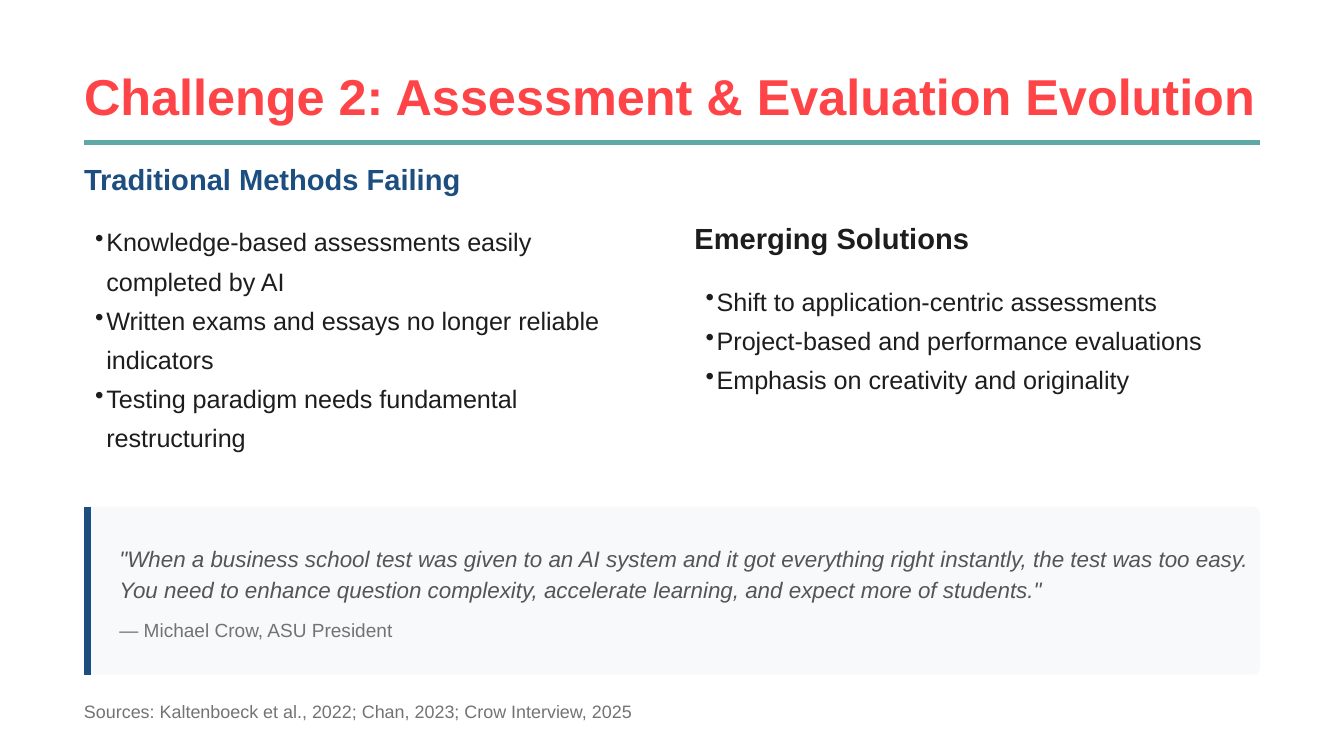
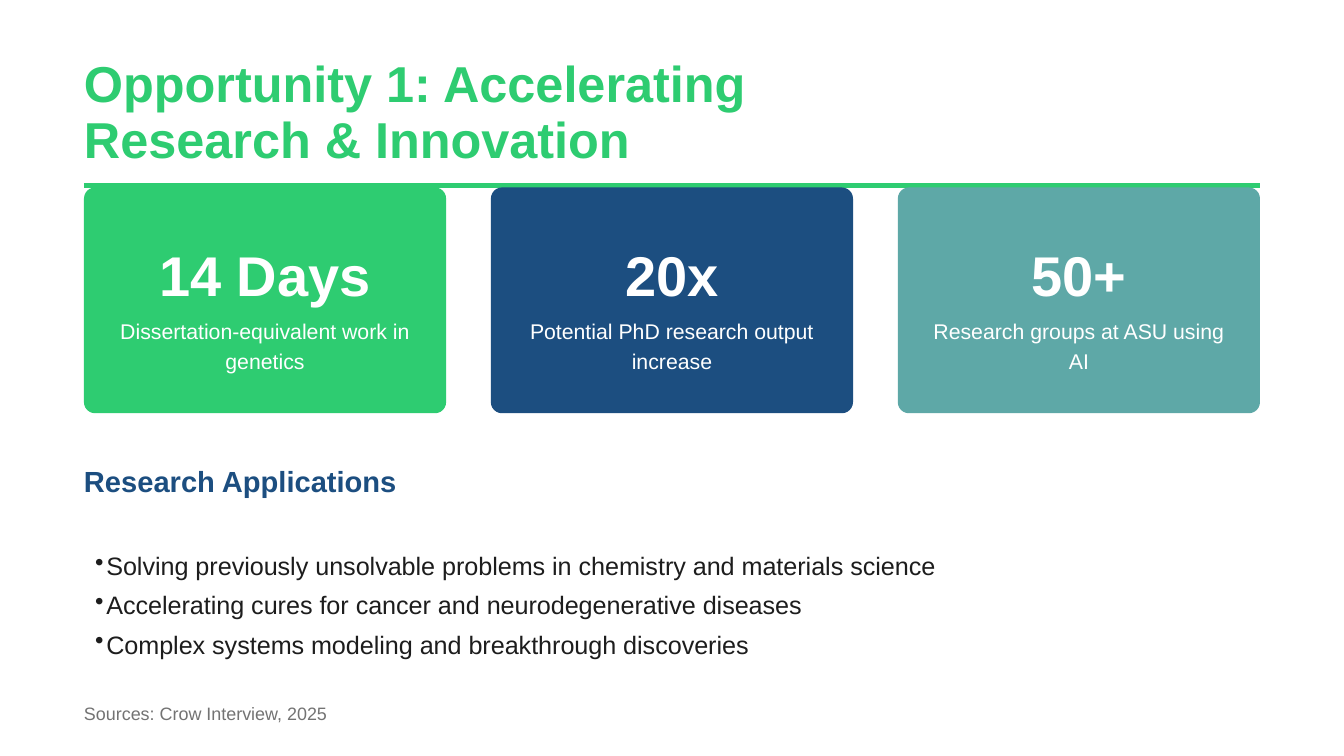
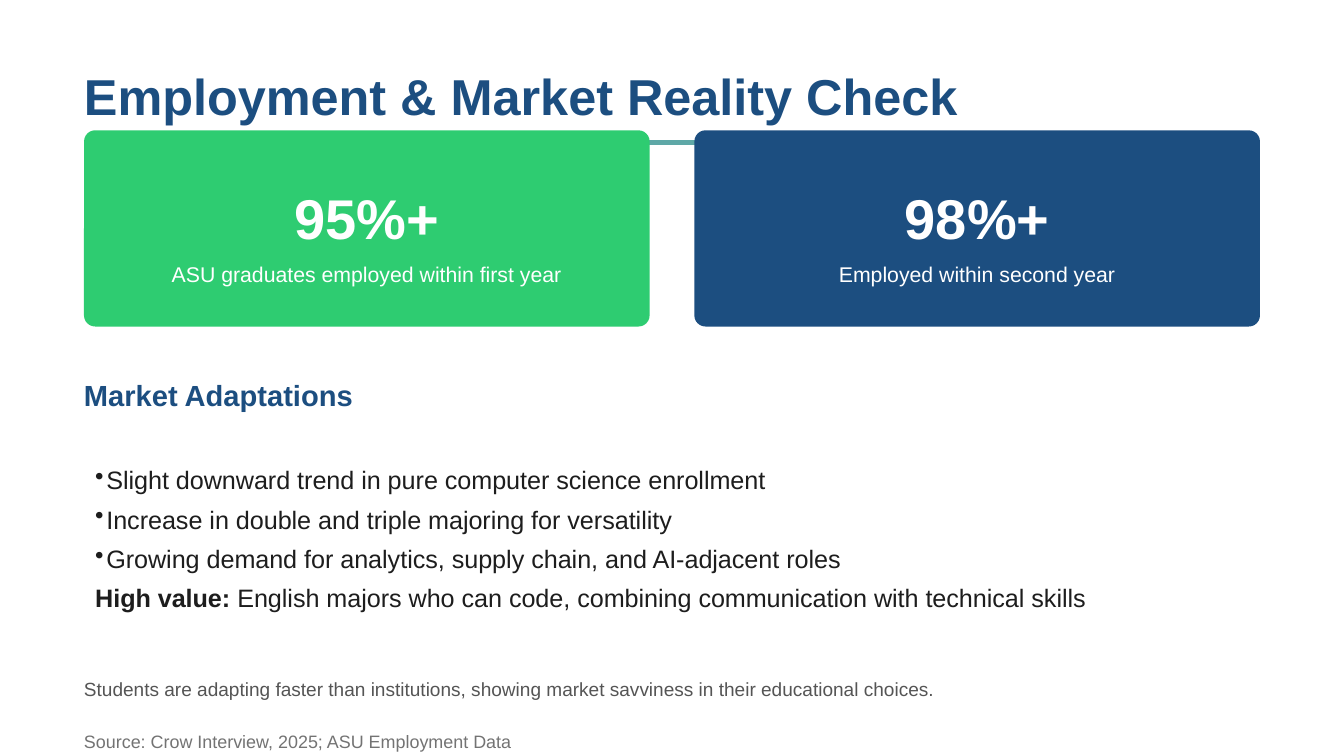
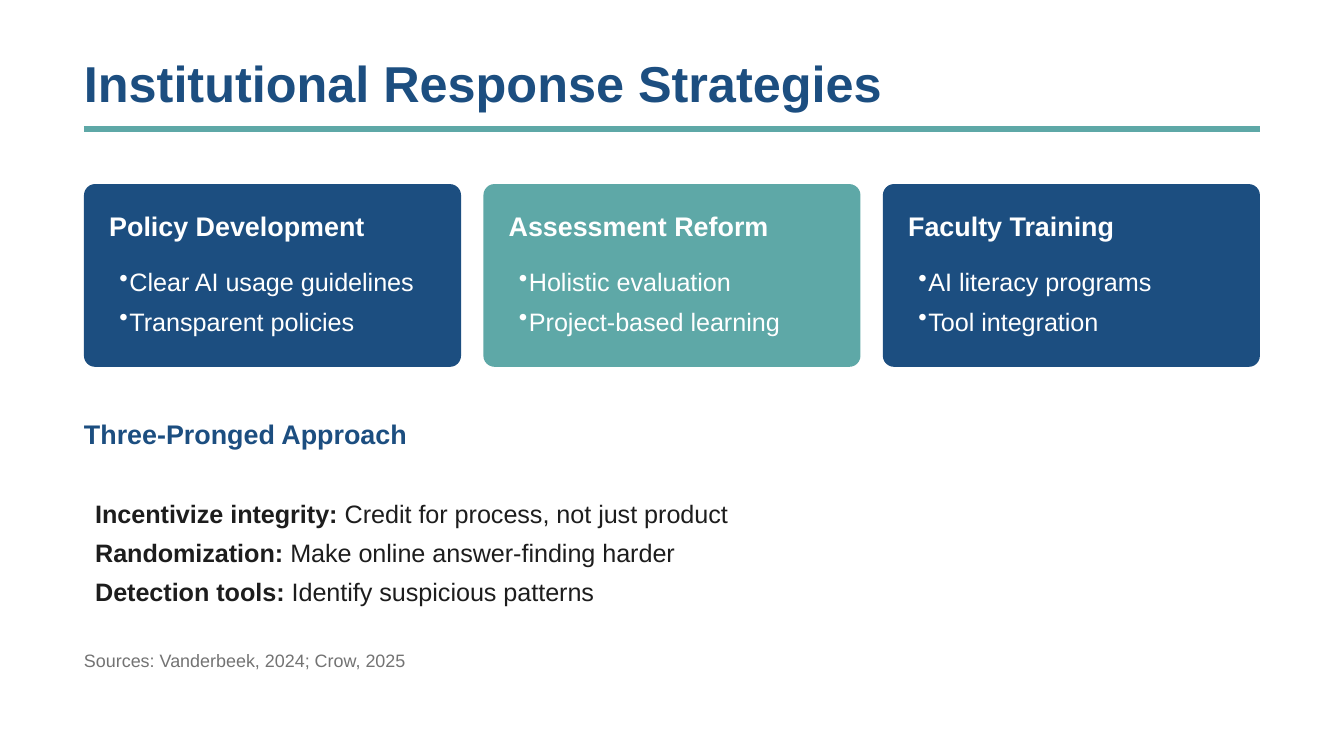
import dataclasses

import lxml.etree
import pptx
import pptx.dml.color
import pptx.enum.shapes
import pptx.enum.text
import pptx.oxml.ns
import pptx.util

RGB = pptx.dml.color.RGBColor
SHAPES = pptx.enum.shapes.MSO_SHAPE
CENTER = pptx.enum.text.PP_ALIGN.CENTER

# Palette
RED = RGB(0xFE, 0x44, 0x47)
TEAL = RGB(0x5E, 0xA8, 0xA7)
NAVY = RGB(0x1C, 0x4E, 0x80)
GREEN = RGB(0x2E, 0xCC, 0x71)
INK = RGB(0x1D, 0x1D, 0x1D)
GREY = RGB(0x55, 0x55, 0x55)
MUTED = RGB(0x73, 0x73, 0x73)
PALE = RGB(0xF8, 0xF9, 0xFA)
WHITE = RGB(0xFF, 0xFF, 0xFF)

# Grid: the slide is 100 columns wide, with square cells
WIDTH = pptx.util.Inches(10)
HEIGHT = WIDTH * 9 // 16
CELL = WIDTH / 100
MARGIN = 6.25
CONTENT = 100 - 2 * MARGIN
WIDE = 1.02  # headings run slightly past their column
CARD_RADIUS = 0.83


def text_style(size, color, line, after=0, align=None, **font):
    """Format values for the runs and paragraphs of one kind of text."""
    return {
        "color": color,
        "font": {"name": "Arial", "size": pptx.util.Pt(size), **font},
        "paragraph": {
            "line_spacing": pptx.util.Pt(line),
            "space_after": pptx.util.Pt(after),
            "alignment": align,
        },
    }


def heading_style(color):
    return text_style(15.6, color, 18.7, 11.2, bold=True)


def small_heading_style(color):
    return text_style(14.4, color, 17.3, 9, bold=True)


def list_style(color):
    return text_style(13.5, color, 21)


FIGURE = text_style(30, WHITE, 42, 3.8, CENTER, bold=True)
CAPTION = text_style(11.4, WHITE, 16, 3, CENTER)
QUOTE = text_style(12, GREY, 16.8, 3, italic=True)
SPEAKER = text_style(10.2, MUTED, 14.3, 3)
REMARK = text_style(10.2, GREY, 14.3, 3)
SOURCE = text_style(9.6, MUTED, 13.4, 3)


@dataclasses.dataclass
class Box:
    """A region measured in grid cells."""
    x: float
    y: float
    w: float
    h: float

    def emu(self):
        return [round(v * CELL) for v in (self.x, self.y, self.w, self.h)]

    def inside(self, dx, dy, w, h):
        return Box(self.x + dx, self.y + dy, w, h)

    def columns(self, count, gap):
        w = (self.w - gap * (count - 1)) / count
        return [self.inside(i * (w + gap), 0, w, self.h) for i in range(count)]


def band(y, h):
    return Box(MARGIN, y, CONTENT, h)


def set_all(target, values):
    for name, value in values.items():
        setattr(target, name, value)


# Basic parts
def add_bullet(paragraph, indent, mark):
    props = paragraph._p.get_or_add_pPr()
    hang = round(indent * CELL)
    props.set("marL", str(hang))
    props.set("indent", str(-hang))
    tag = pptx.oxml.ns.qn("a:buChar" if mark else "a:buNone")
    bullet = lxml.etree.SubElement(props, tag)
    if mark:
        bullet.set("char", mark)


def add_text(slide, box, items, style, indent=0, bottom=0):
    """Each item is a string, or a (bold lead, rest) pair without a bullet."""
    frame = slide.shapes.add_textbox(*box.emu()).text_frame
    set_all(frame, {
        "word_wrap": True,
        "margin_left": round(indent * CELL),
        "margin_top": 0,
        "margin_right": 0,
        "margin_bottom": round(bottom * CELL),
    })
    for i, item in enumerate(items):
        paragraph = frame.paragraphs[0] if i == 0 else frame.add_paragraph()
        plain = isinstance(item, str)
        if indent:
            add_bullet(paragraph, indent, "•" if plain else None)
        set_all(paragraph, style["paragraph"])
        for j, words in enumerate([item] if plain else item):
            run = paragraph.add_run()
            run.text = words
            set_all(run.font, style["font"])
            run.font.color.rgb = style["color"]
            if not plain:
                run.font.bold = j == 0


def add_panel(slide, box, color, radius=CARD_RADIUS):
    panel = slide.shapes.add_shape(SHAPES.ROUNDED_RECTANGLE, *box.emu())
    panel.adjustments[0] = radius / box.h
    panel.shadow.inherit = False
    panel.fill.solid()
    panel.fill.fore_color.rgb = color
    panel.line.fill.background()


def add_rule(slide, x1, y1, x2, y2, color, weight):
    ends = [round(v * CELL) for v in (x1, y1, x2, y2)]
    rule = slide.shapes.add_connector(
        pptx.enum.shapes.MSO_CONNECTOR.STRAIGHT, *ends)
    rule.line.color.rgb = color
    rule.line.width = pptx.util.Pt(weight)
    lxml.etree.SubElement(rule._element.spPr, pptx.oxml.ns.qn("a:effectLst"))


# Shared regions
def add_title(slide, box, title, color, rule_color=TEAL):
    rule_y = box.y + box.h + 0.2
    add_rule(slide, MARGIN, rule_y, MARGIN + CONTENT, rule_y, rule_color, 3)
    add_text(slide, box, [title],
             text_style(27, color, 30, bold=True), bottom=1)


def add_line_of_text(slide, y, words, style=SOURCE):
    add_text(slide, Box(MARGIN, y, CONTENT * WIDE, 1.9), [words], style)


def add_topic(slide, box, heading, items, list_top, style,
              list_color=INK, indent=0.83):
    """A heading with a list below it, filling the box."""
    add_text(slide, box.inside(0, 0, box.w * WIDE, 2.6), [heading], style)
    add_text(slide, box.inside(0, list_top, box.w, box.h - list_top),
             items, list_style(list_color), indent)


def add_stat_cards(slide, box, stats):
    pad = 2.3
    for card, (figure, caption, color) in zip(
            box.columns(len(stats), 100 / 30), stats):
        add_panel(slide, card, color)
        w = card.w - 2 * pad
        add_text(slide, card.inside(pad, 3.1, w, 5.8), [figure], FIGURE)
        add_text(slide, card.inside(pad, 9.4, w, card.h - 12.4),
                 [caption], CAPTION)


def add_strategy_cards(slide, box, strategies):
    pad = 1.88
    for card, (heading, items, color) in zip(
            box.columns(len(strategies), 100 / 60), strategies):
        add_panel(slide, card, color)
        body = card.inside(pad, pad, card.w - 2 * pad, card.h - 2 * pad)
        add_topic(slide, body, heading, items, 3.6,
                  small_heading_style(WHITE), WHITE, 0.75)


def add_quote(slide, box, quote, speaker):
    add_panel(slide, box, PALE, 0.52)
    bar_x = box.x + 0.26
    add_rule(slide, bar_x, box.y, bar_x, box.y + box.h, NAVY, 3.75)
    add_text(slide, box.inside(2.63, 2.5, 84.5, 4.7), [quote], QUOTE)
    add_text(slide, box.inside(2.63, 8, 84.5, 2), [speaker], SPEAKER)


# Slides
def assessment_slide(slide):
    add_title(slide, Box(MARGIN, 5.2, 88.9, 5.2),
              "Challenge 2: Assessment & Evaluation Evolution", RED)
    left, right = band(12, 22.5).columns(2, 100 / 30)
    add_topic(slide, left, "Traditional Methods Failing", [
        "Knowledge-based assessments easily completed by AI",
        "Written exams and essays no longer reliable indicators",
        "Testing paradigm needs fundamental restructuring",
    ], 4.2, heading_style(NAVY))
    add_topic(slide, right.inside(0, 4.4, right.w, 13.7),
              "Emerging Solutions", [
        "Shift to application-centric assessments",
        "Project-based and performance evaluations",
        "Emphasis on creativity and originality",
    ], 4.2, heading_style(INK))
    add_quote(
        slide, band(37.7, 12.5),
        '"When a business school test was given to an AI system and it got '
        "everything right instantly, the test was too easy. You need to "
        "enhance question complexity, accelerate learning, and expect more "
        'of students."',
        "— Michael Crow, ASU President")
    add_line_of_text(slide, 51.9, "Sources: Kaltenboeck et al., 2022; "
                     "Chan, 2023; Crow Interview, 2025")


def research_slide(slide):
    add_title(slide, Box(MARGIN, 4.2, 50.3, 9.4),
              "Opportunity 1: Accelerating Research & Innovation",
              GREEN, GREEN)
    add_stat_cards(slide, band(13.95, 16.8), [
        ("14 Days", "Dissertation-equivalent work in genetics", GREEN),
        ("20x", "Potential PhD research output increase", NAVY),
        ("50+", "Research groups at ASU using AI", TEAL),
    ])
    add_topic(slide, band(34.5, 15.4), "Research Applications", [
        "Solving previously unsolvable problems in chemistry and "
        "materials science",
        "Accelerating cures for cancer and neurodegenerative diseases",
        "Complex systems modeling and breakthrough discoveries",
    ], 5.8, heading_style(NAVY))
    add_line_of_text(slide, 52, "Sources: Crow Interview, 2025")


def employment_slide(slide):
    add_title(slide, Box(MARGIN, 5.2, 66.4, 5.2),
              "Employment & Market Reality Check", NAVY)
    add_stat_cards(slide, band(9.7, 14.6), [
        ("95%+", "ASU graduates employed within first year", GREEN),
        ("98%+", "Employed within second year", NAVY),
    ])
    add_topic(slide, band(28.1, 18.7), "Market Adaptations", [
        "Slight downward trend in pure computer science enrollment",
        "Increase in double and triple majoring for versatility",
        "Growing demand for analytics, supply chain, and AI-adjacent roles",
        ("High value:", " English majors who can code, combining "
         "communication with technical skills"),
    ], 5.8, heading_style(NAVY))
    add_line_of_text(slide, 50.1, "Students are adapting faster than "
                     "institutions, showing market savviness in their "
                     "educational choices.", REMARK)
    add_line_of_text(slide, 54.1,
                     "Source: Crow Interview, 2025; ASU Employment Data")


def response_slide(slide):
    add_title(slide, Box(MARGIN, 4.2, 60.7, 5.2),
              "Institutional Response Strategies", NAVY)
    add_strategy_cards(slide, band(13.7, 13.6), [
        ("Policy Development",
         ["Clear AI usage guidelines", "Transparent policies"], NAVY),
        ("Assessment Reform",
         ["Holistic evaluation", "Project-based learning"], TEAL),
        ("Faculty Training",
         ["AI literacy programs", "Tool integration"], NAVY),
    ])
    add_topic(slide, band(31.1, 14.9), "Three-Pronged Approach", [
        ("Incentivize integrity:", " Credit for process, not just product"),
        ("Randomization:", " Make online answer-finding harder"),
        ("Detection tools:", " Identify suspicious patterns"),
    ], 5.3, small_heading_style(NAVY))
    add_line_of_text(slide, 48.1, "Sources: Vanderbeek, 2024; Crow, 2025")


def main():
    deck = pptx.Presentation()
    deck.slide_width, deck.slide_height = WIDTH, HEIGHT
    blank = deck.slide_layouts[6]
    for build in (assessment_slide, research_slide,
                  employment_slide, response_slide):
        build(deck.slides.add_slide(blank))
    deck.save("out.pptx")


if __name__ == "__main__":
    main()
